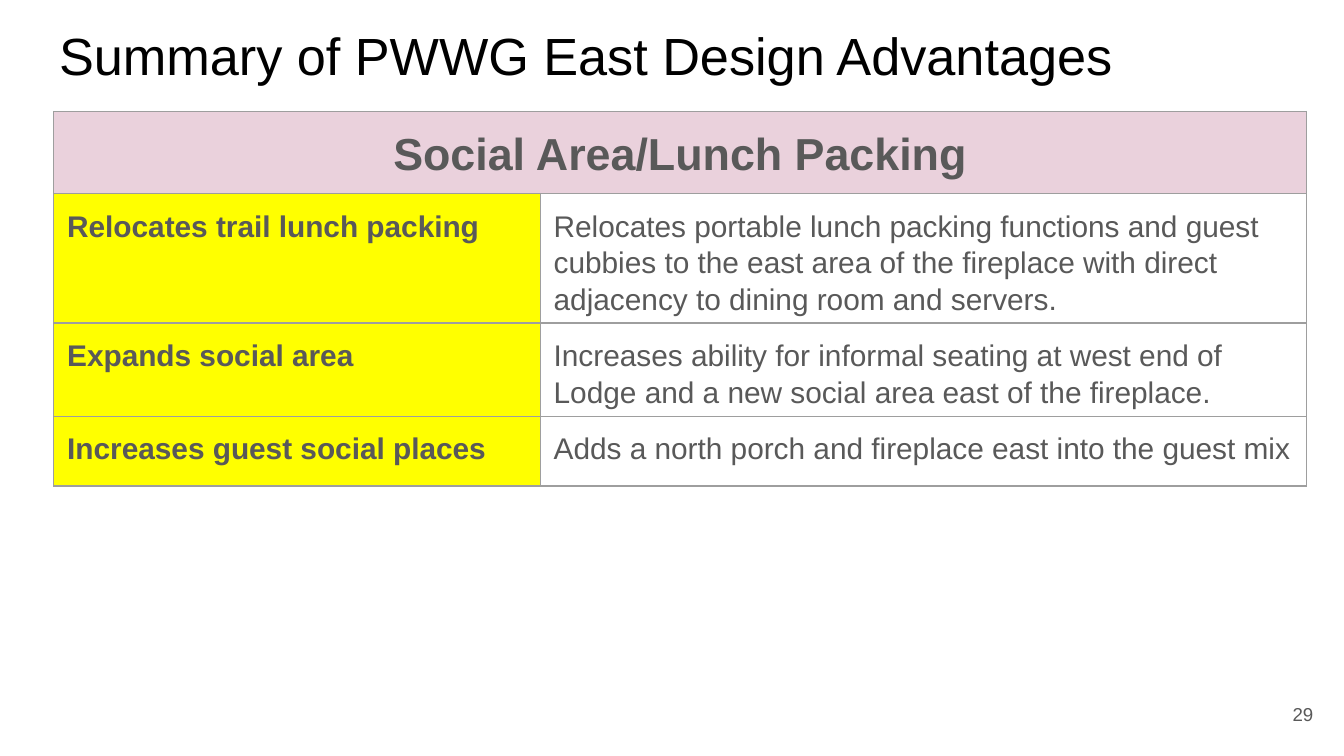
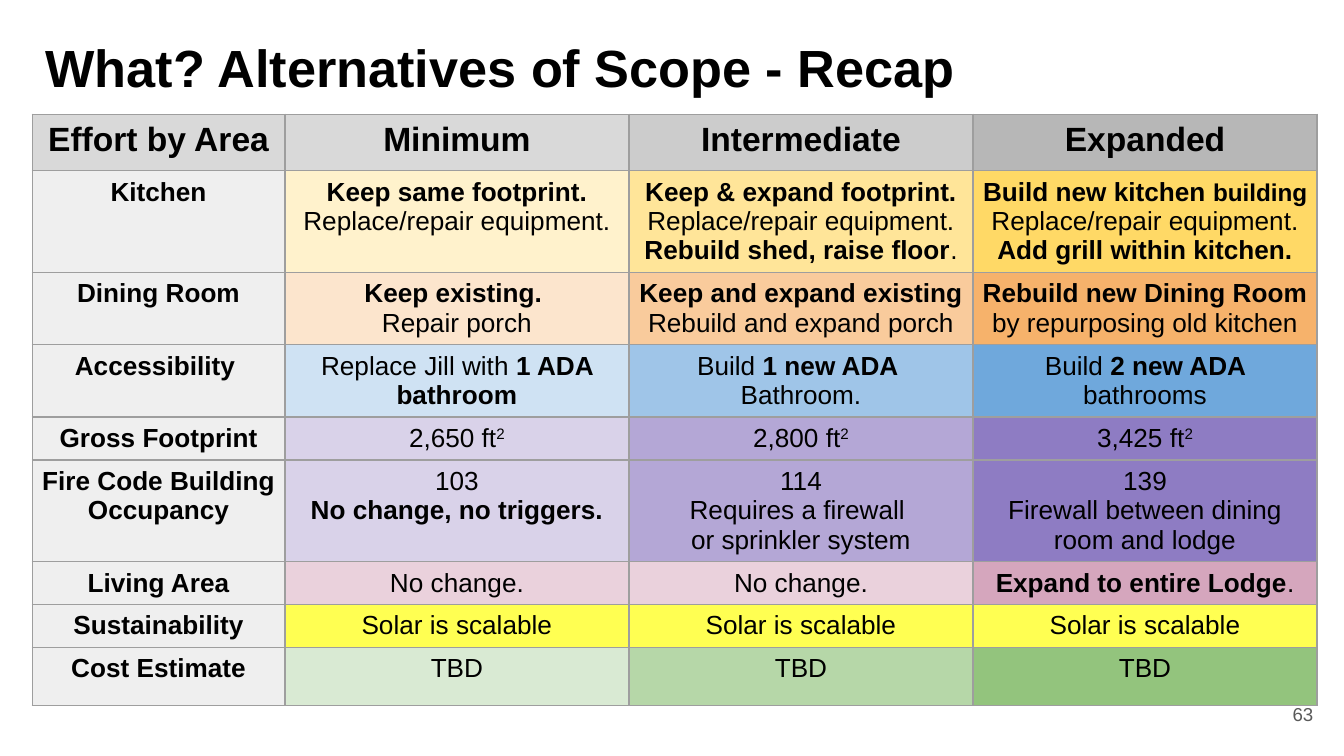
import dataclasses

import pptx
import pptx.dml.color
import pptx.enum.text
import pptx.oxml
import pptx.oxml.ns
import pptx.util
from pptx.util import Inches

RGBColor = pptx.dml.color.RGBColor
PP_ALIGN = pptx.enum.text.PP_ALIGN
MSO_ANCHOR = pptx.enum.text.MSO_ANCHOR
qn = pptx.oxml.ns.qn

FONT = "Arial"
BLACK = RGBColor(0x00, 0x00, 0x00)
DARK_GRAY = RGBColor(0x59, 0x59, 0x59)
BORDER = RGBColor(0x9E, 0x9E, 0x9E)
YELLOW = RGBColor(0xFF, 0xFF, 0x00)
PALE_PINK = RGBColor(0xEA, 0xD1, 0xDC)
PINK = RGBColor(0xD5, 0xA6, 0xBD)
LABEL_GRAY = RGBColor(0xEF, 0xEF, 0xEF)
HEADER_GRAYS = [RGBColor(0xD9, 0xD9, 0xD9), RGBColor(0xD9, 0xD9, 0xD9),
                RGBColor(0xCC, 0xCC, 0xCC), RGBColor(0xB7, 0xB7, 0xB7)]
# Each family goes from light (minimum) to dark (expanded)
AMBERS = [RGBColor(0xFF, 0xF2, 0xCC), RGBColor(0xFF, 0xE5, 0x99), RGBColor(0xFF, 0xD9, 0x66)]
ORANGES = [RGBColor(0xFC, 0xE5, 0xCD), RGBColor(0xF9, 0xCB, 0x9C), RGBColor(0xF6, 0xB2, 0x6B)]
BLUES = [RGBColor(0xCF, 0xE2, 0xF3), RGBColor(0x9F, 0xC5, 0xE8), RGBColor(0x6F, 0xA8, 0xDC)]
PURPLES = [RGBColor(0xD9, 0xD2, 0xE9), RGBColor(0xB4, 0xA7, 0xD6), RGBColor(0x8E, 0x7C, 0xC3)]
PINKS = [PALE_PINK, PALE_PINK, PINK]
YELLOWS = [YELLOW] * 3
GREENS = [RGBColor(0xD9, 0xEA, 0xD3), RGBColor(0xB6, 0xD7, 0xA8), RGBColor(0x93, 0xC4, 0x7D)]


@dataclasses.dataclass
class Run:
    text: str
    bold: bool = False
    size: float = 0
    superscript: bool = False


def bold(text, size=0):
    return Run(text, bold=True, size=size)


def area(number):
    """Square feet, as one paragraph."""
    return [[Run(number + " ft"), Run("2", superscript=True)]]


class Deck:
    def __init__(self):
        self.prs = pptx.Presentation()
        # Widescreen, 16:9
        self.prs.slide_width = Inches(10)
        self.prs.slide_height = Inches(10) * 9 // 16
        self.s = None

    def new_slide(self, number):
        self.s = self.prs.slides.add_slide(self.prs.slide_layouts[5])
        sp = self.s.shapes.add_textbox(Inches(9.27), Inches(5.1), Inches(0.6), Inches(0.43))
        self.frame(sp.text_frame, MSO_ANCHOR.MIDDLE)
        p = sp.text_frame.paragraphs[0]
        p.alignment = PP_ALIGN.RIGHT
        self.runs(p, [Run(str(number))], 10, DARK_GRAY)

    def frame(self, tf, anchor):
        tf.word_wrap = True
        tf.auto_size = pptx.enum.text.MSO_AUTO_SIZE.NONE
        tf.vertical_anchor = anchor
        tf.margin_left = tf.margin_right = tf.margin_top = tf.margin_bottom = Inches(0.1)

    def runs(self, p, runs, size, color):
        for part in runs:
            # A line break inside a run starts a new line of the paragraph
            for j, line in enumerate(part.text.split("\n")):
                if j:
                    p.add_line_break()
                if not line:
                    continue
                r = p.add_run()
                r.text = line
                r.font.name = FONT
                r.font.size = pptx.util.Pt(part.size or size)
                r.font.bold = part.bold
                r.font.color.rgb = color
                rPr = r._r.get_or_add_rPr()
                rPr.set("kern", "0")
                if part.superscript:
                    rPr.set("baseline", "30000")

    def title(self, run, left, top, width):
        sp = self.s.shapes.title
        sp.left, sp.top, sp.width, sp.height = Inches(left), Inches(top), Inches(width), Inches(0.63)
        self.frame(sp.text_frame, MSO_ANCHOR.TOP)
        p = sp.text_frame.paragraphs[0]
        p.alignment = PP_ALIGN.LEFT
        self.runs(p, [run], 28, BLACK)

    def table(self, left, top, cols, rows):
        gf = self.s.shapes.add_table(len(rows), len(cols), Inches(left), Inches(top),
                                     Inches(sum(cols)), Inches(sum(rows)))
        table = gf.table
        table.first_row = table.horz_banding = False
        for col, width in zip(table.columns, cols):
            col.width = Inches(width)
        for row, height in zip(table.rows, rows):
            row.height = Inches(height)
        for cell in table.iter_cells():
            self.borders(cell)
            cell.fill.background()
        return table

    def borders(self, cell):
        tcPr = cell._tc.get_or_add_tcPr()
        for side in ("lnL", "lnR", "lnT", "lnB"):
            tcPr.append(pptx.oxml.parse_xml(
                f'<a:{side} {pptx.oxml.ns.nsdecls("a")} w="9525"><a:solidFill>'
                f'<a:srgbClr val="{BORDER}"/></a:solidFill></a:{side}>'))

    def cell(self, cell, paragraphs, size, color, fill=None, opacity=100, margins=(0.05, 0.05),
             align=PP_ALIGN.CENTER, line_spacing=None, space_after=None):
        """Margins are (left, top and right; bottom)."""
        cell.margin_left = cell.margin_top = cell.margin_right = Inches(margins[0])
        cell.margin_bottom = Inches(margins[1])
        if fill is not None:
            cell.fill.solid()
            cell.fill.fore_color.rgb = fill
            if opacity < 100:
                clr = cell._tc.tcPr.find(qn("a:solidFill")).find(qn("a:srgbClr"))
                clr.append(pptx.oxml.parse_xml(
                    f'<a:alpha {pptx.oxml.ns.nsdecls("a")} val="{opacity * 1000}"/>'))
        tf = cell.text_frame
        for i, runs in enumerate(paragraphs):
            p = tf.add_paragraph() if i else tf.paragraphs[0]
            p.alignment = align
            if line_spacing:
                p.line_spacing = line_spacing
            if space_after:
                p.space_after = pptx.util.Pt(space_after)
            self.runs(p, runs, size, color)


ADVANTAGES = [
    ("Relocates trail lunch packing",
     "Relocates portable lunch packing functions and guest cubbies to the east area "
     "of the fireplace with direct adjacency to dining room and servers."),
    ("Expands social area",
     "Increases ability for informal seating at west end of Lodge and a new social "
     "area east of the fireplace."),
    ("Increases guest social places",
     "Adds a north porch and fireplace east into the guest mix"),
]

SCOPE_HEADERS = ["Effort by Area", "Minimum", "Intermediate", "Expanded"]
REPAIR = Run("Replace/repair equipment.")

# Label, row height, fills, then one list of paragraphs per alternative
SCOPE_ROWS = [
    ("Kitchen", 0.75, AMBERS, [
        [[bold("Keep same footprint.")], [REPAIR]],
        [[bold("Keep & expand footprint.")], [REPAIR],
         [bold("Rebuild shed, raise floor"), Run(".")]],
        [[bold("Build new kitchen "), bold("building", 13)],
         [Run("Replace/repair equipment.\n"), bold("Add grill within kitchen.")]]]),
    ("Dining Room", 0.54, ORANGES, [
        [[bold("Keep existing. ")], [Run("Repair porch")]],
        [[bold("Keep and expand existing")], [Run("Rebuild and expand porch")]],
        [[bold("Rebuild new Dining Room"), Run(" by repurposing old kitchen")]]]),
    ("Accessibility ", 0.53, BLUES, [
        [[Run("Replace Jill with "), bold("1 ADA bathroom")]],
        [[Run("Build "), bold("1 new ADA \n"), Run("Bathroom.")]],
        [[Run("Build "), bold("2 new ADA "), Run("bathrooms")]]]),
    ("Gross Footprint", 0.32, PURPLES, [area("2,650"), area("2,800"), area("3,425")]),
    ("Fire Code Building Occupancy", 0.75, PURPLES, [
        [[Run("103")], [bold("No change, no triggers.")]],
        [[Run("114")], [Run("Requires a firewall \nor sprinkler system")]],
        [[Run("139")], [Run("Firewall between dining room and lodge")]]]),
    ("Living Area", 0.32, PINKS, [
        [[Run("No change.")]],
        [[Run("No change.")]],
        [[bold("Expand to entire Lodge"), Run(".")]]]),
    ("Sustainability", 0.32, YELLOWS, [[[Run("Solar is scalable")]]] * 3),
    ("Cost Estimate", 0.43, GREENS, [[[Run("TBD")]]] * 3),
]


def advantages_slide(deck):
    deck.new_slide(29)
    deck.title(Run("Summary of PWWG East Design Advantages"), 0.34, 0.07, 9.32)
    table = deck.table(0.4, 0.83, [3.62, 5.7], [0.61, 0.96, 0.69, 0.52])

    # Heading across both columns
    table.cell(0, 0).merge(table.cell(0, 1))
    deck.cell(table.cell(0, 0), [[bold("Social Area/Lunch Packing")]], 24, DARK_GRAY,
              PALE_PINK, margins=(0.1, 0.1), line_spacing=1.1)

    # Advantage and explanation
    body = dict(size=16, color=DARK_GRAY, margins=(0.1, 0.05), align=PP_ALIGN.LEFT,
                line_spacing=1.1, space_after=10)
    for i, (advantage, detail) in enumerate(ADVANTAGES, 1):
        deck.cell(table.cell(i, 0), [[bold(advantage)]], fill=YELLOW, **body)
        deck.cell(table.cell(i, 1), [[Run(detail)]], **body)


def scope_slide(deck):
    deck.new_slide(63)
    deck.title(bold("What? Alternatives of Scope - Recap"), 0.24, 0.16, 9.45)
    heights = [0.42] + [row[1] for row in SCOPE_ROWS]
    table = deck.table(0.24, 0.85, [1.88] + [2.56] * 3, heights)

    # Header row
    for j, (header, fill) in enumerate(zip(SCOPE_HEADERS, HEADER_GRAYS)):
        deck.cell(table.cell(0, j), [[bold(header)]], 18, BLACK, fill)

    # One row per area
    for i, (label, _, fills, alternatives) in enumerate(SCOPE_ROWS, 1):
        deck.cell(table.cell(i, 0), [[bold(label)]], 14, BLACK, LABEL_GRAY)
        opacity = 68 if fills is YELLOWS else 100
        for j, (paragraphs, fill) in enumerate(zip(alternatives, fills), 1):
            deck.cell(table.cell(i, j), paragraphs, 14, BLACK, fill, opacity)


def main():
    deck = Deck()
    advantages_slide(deck)
    scope_slide(deck)
    deck.prs.save("out.pptx")


if __name__ == "__main__":
    main()
